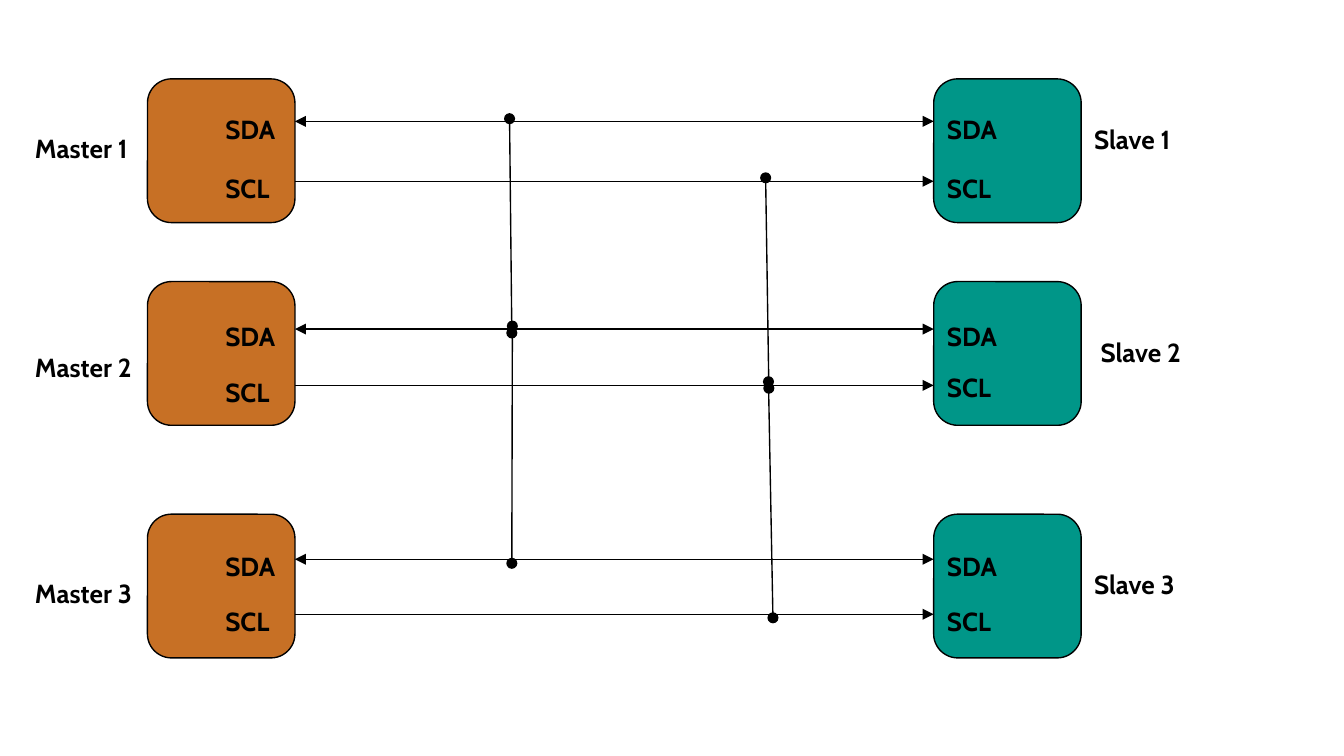
from dataclasses import dataclass

from lxml import etree
from pptx import Presentation
from pptx import util as u
from pptx.dml import color
from pptx.enum import shapes, text
from pptx.oxml import ns


@dataclass(frozen=True)
class Theme:
    """Colours, font and sizes of the diagram."""
    ink: color.RGBColor = color.RGBColor(0, 0, 0)
    master: color.RGBColor = color.RGBColor(0xC7, 0x70, 0x25)
    slave: color.RGBColor = color.RGBColor(0x00, 0x96, 0x88)
    font: str = "Cabin"
    label_size: float = 14
    stroke: float = 0.75


@dataclass(frozen=True)
class BusRow:
    """Vertical positions of one master and slave pair."""
    device: float
    sda_wire: float
    scl_wire: float
    sda_pin: float
    master_scl_pin: float
    slave_scl_pin: float
    master_name: float
    slave_name: float
    slave_name_left: float


THEME = Theme()
DEVICE_WIDTH, DEVICE_HEIGHT = 79, 77
MASTER_LEFT, SLAVE_LEFT = 79, 500.2
MASTER_RIGHT = MASTER_LEFT + DEVICE_WIDTH
PIN_LEFT = 113.6
ROWS = [
    BusRow(42.3, 65, 97.1, 53.3, 85.2, 85.2, 63.7, 59, 579),
    BusRow(150.9, 176.3, 206.5, 164.5, 194.4, 191.6, 181, 172.8, 582.5),
    BusRow(275.5, 299.6, 329.1, 287.8, 317.3, 317.3, 301.9, 297.2, 579),
]
BUS_LINKS = [
    ((273, 63.6), (274.2, 178.4)),
    ((274.5, 174.7), (274.2, 301.8)),
    ((410.2, 95.3), (411.9, 208)),
    ((411.7, 204.5), (414.1, 331)),
]


def add_device(slide, left, top, fill):
    """Draw a rounded device block."""
    device = slide.shapes.add_shape(
        shapes.MSO_SHAPE.ROUNDED_RECTANGLE,
        u.Pt(left), u.Pt(top), u.Pt(DEVICE_WIDTH), u.Pt(DEVICE_HEIGHT))
    device.shadow.inherit = False
    device.fill.solid()
    device.fill.fore_color.rgb = fill
    device.line.color.rgb = THEME.ink
    device.line.width = u.Pt(THEME.stroke)


def add_label(slide, wording, left, top, width=79, height=33,
              size=THEME.label_size, ink=THEME.ink, bold=True):
    """Write a top-anchored label."""
    label = slide.shapes.add_textbox(
        u.Pt(left), u.Pt(top), u.Pt(width), u.Pt(height))
    frame = label.text_frame
    frame.word_wrap = True
    frame.vertical_anchor = text.MSO_ANCHOR.TOP
    frame.margin_left = frame.margin_right = u.Pt(7.2)
    frame.margin_top = frame.margin_bottom = u.Pt(7.2)
    run = frame.paragraphs[0].add_run()
    run.text = wording
    run.font.name = THEME.font
    run.font.size = u.Pt(size)
    run.font.bold = bold
    run.font.color.rgb = ink


def add_pin(slide, wording, left, top):
    """Write a pin name inside a device."""
    add_label(slide, wording, left, top, width=44, height=24)


def add_wire(slide, start, end, head=None, tail=None):
    """Draw a straight wire with optional end marks."""
    wire = slide.shapes.add_connector(
        shapes.MSO_CONNECTOR.STRAIGHT, *map(u.Pt, (*start, *end)))
    wire.line.color.rgb = THEME.ink
    wire.line.width = u.Pt(THEME.stroke)
    stroke = wire.line._get_or_add_ln()
    for tag, mark in (("a:headEnd", head), ("a:tailEnd", tail)):
        if mark:
            etree.SubElement(stroke, ns.qn(tag), type=mark, w="med", len="med")
    etree.SubElement(wire._element.spPr, ns.qn("a:effectLst"))


def add_row(slide, number, row):
    """Draw one master, one slave and the two wires between them."""
    add_device(slide, MASTER_LEFT, row.device, THEME.master)
    add_device(slide, SLAVE_LEFT, row.device, THEME.slave)
    add_pin(slide, "SDA", PIN_LEFT, row.sda_pin)
    add_pin(slide, "SDA", SLAVE_LEFT, row.sda_pin)
    add_pin(slide, "SCL", PIN_LEFT, row.master_scl_pin)
    add_pin(slide, "SCL", SLAVE_LEFT, row.slave_scl_pin)
    for height, head in ((row.sda_wire, "triangle"), (row.scl_wire, None)):
        add_wire(slide, (MASTER_RIGHT, height), (SLAVE_LEFT, height),
                 head=head, tail="triangle")
    add_label(slide, f"Master {number}", 11.6, row.master_name)
    add_label(slide, f"Slave {number}", row.slave_name_left, row.slave_name)


def main():
    """Build the bus diagram slide."""
    deck = Presentation()
    deck.slide_width, deck.slide_height = u.Pt(720), u.Pt(405)
    slide = deck.slides.add_slide(deck.slide_layouts[6])
    for number, row in enumerate(ROWS, start=1):
        add_row(slide, number, row)
    for start, end in BUS_LINKS:
        add_wire(slide, start, end, head="oval", tail="oval")
    deck.save("out.pptx")


if __name__ == "__main__":
    main()
